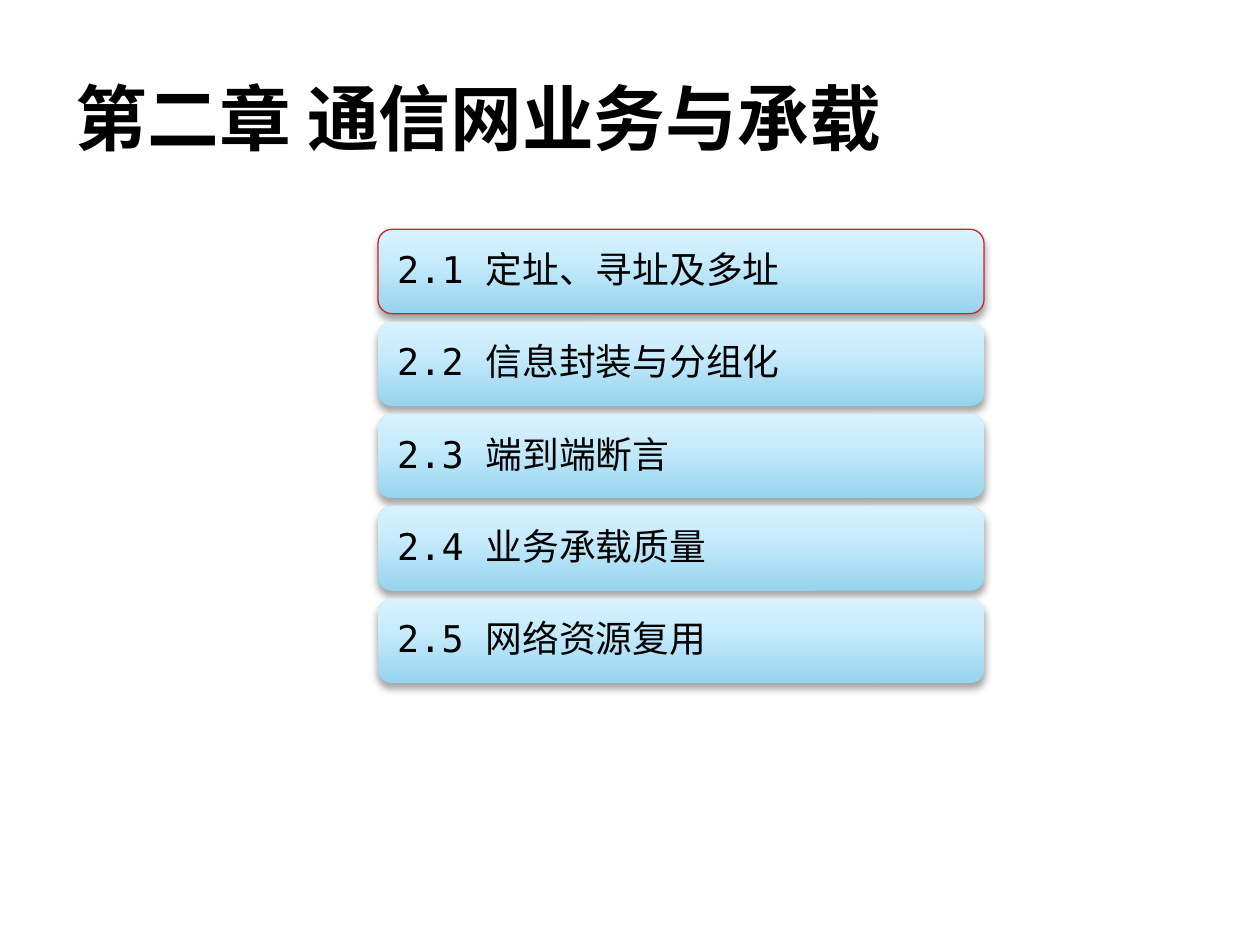
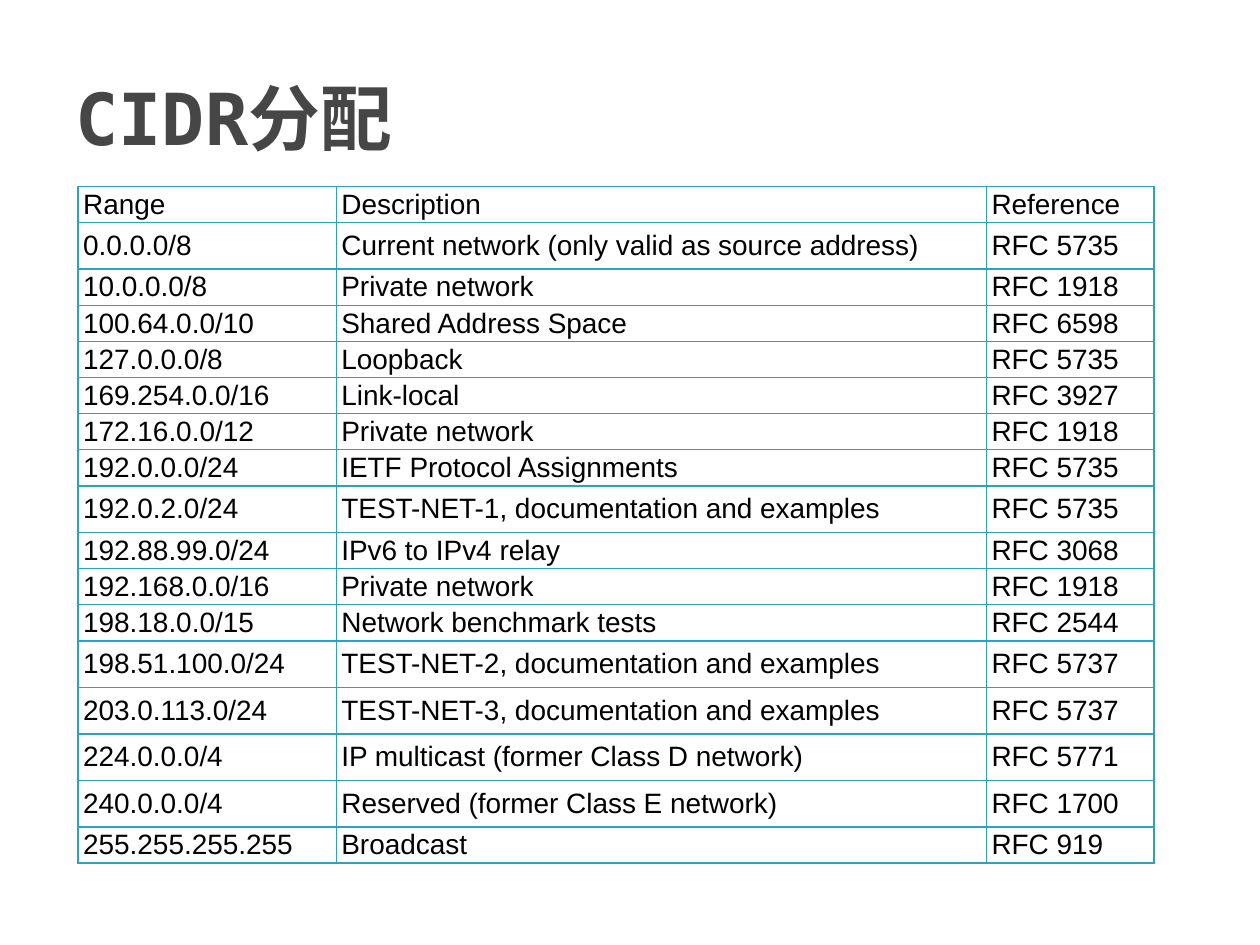
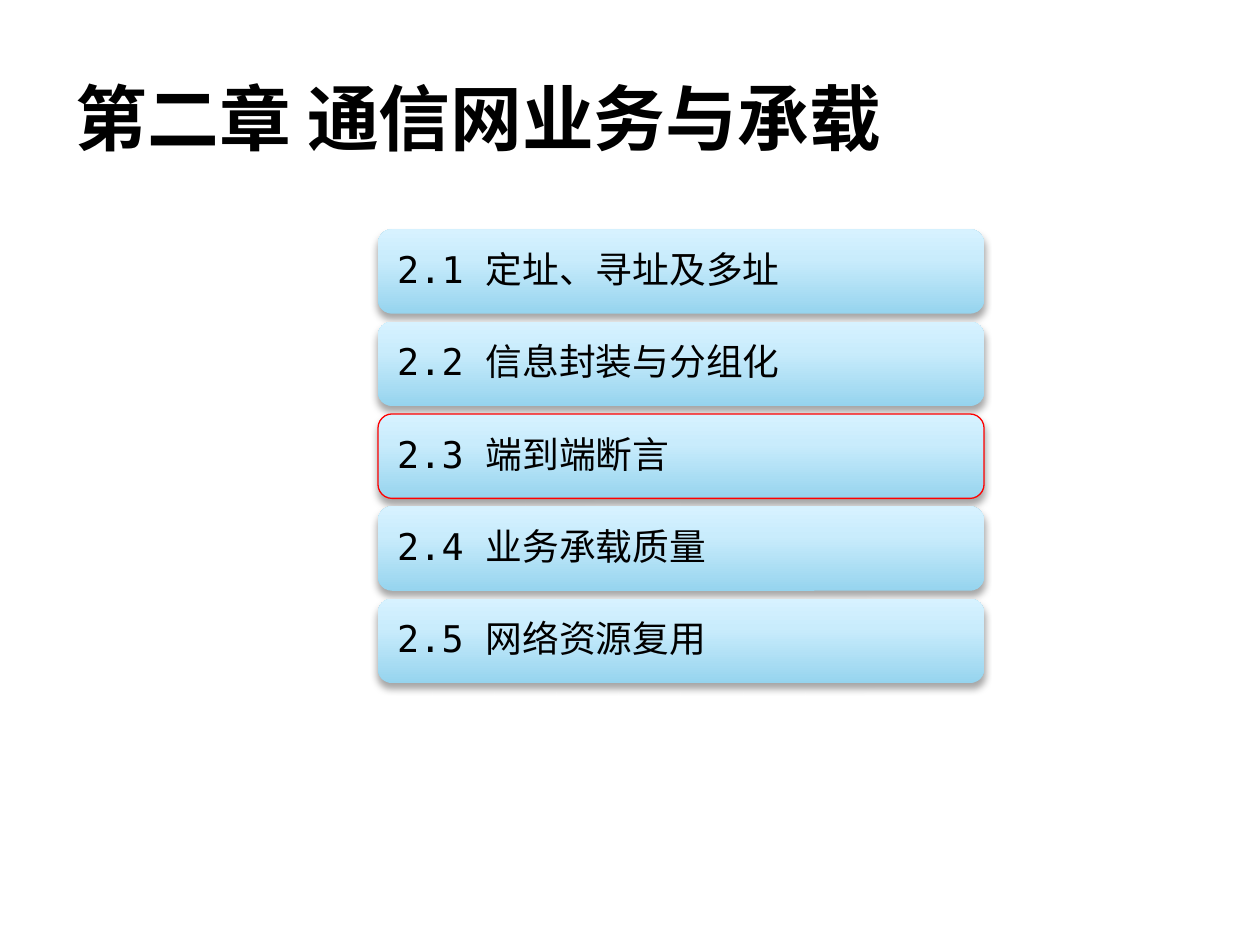
from lxml import etree
from pptx import Presentation
from pptx.dml.color import RGBColor
from pptx.enum.lang import MSO_LANGUAGE_ID
from pptx.enum.shapes import MSO_SHAPE
from pptx.enum.text import MSO_ANCHOR, MSO_AUTO_SIZE, PP_ALIGN
from pptx.oxml.ns import qn
from pptx.util import Inches, Pt

ROUNDED = MSO_SHAPE.ROUNDED_RECTANGLE
MIDDLE = MSO_ANCHOR.MIDDLE
LEFT = PP_ALIGN.LEFT
NO_AUTOFIT = MSO_AUTO_SIZE.NONE
CHINESE = MSO_LANGUAGE_ID.SIMPLIFIED_CHINESE
TITLE_ONLY = 5

BLACK = RGBColor(0x00, 0x00, 0x00)
DARK_GREY = RGBColor(0x46, 0x46, 0x46)
CRIMSON = RGBColor(0xDA, 0x1F, 0x28)
RED = RGBColor(0xFF, 0x00, 0x00)
TEAL = RGBColor(0x2D, 0xA2, 0xBF)
BAR_GRADIENT = [
    (0, RGBColor(0x96, 0xD4, 0xEE)),
    (65, RGBColor(0xC9, 0xEC, 0xFC)),
    (100, RGBColor(0xD7, 0xF2, 0xFF)),
]

MONO = "DejaVu Sans Mono"
SANS = "Arial"

CHAPTER_TITLE = "第二章 通信网业务与承载"
SECTIONS = [
    "2.1 定址、寻址及多址",
    "2.2 信息封装与分组化",
    "2.3 端到端断言",
    "2.4 业务承载质量",
    "2.5 网络资源复用",
]
BAR_TOP, BAR_PITCH = 1.82, 0.733

COLUMN_WIDTHS = [2.05, 5.16, 1.33]
SHORT_ROW, TALL_ROW = 0.28, 0.37
TALL_ROWS = {1, 8, 12, 13, 14, 15}
CIDR_ROWS = [
    ("Range", "Description", "Reference"),
    ("0.0.0.0/8", "Current network (only valid as source address)", "RFC 5735"),
    ("10.0.0.0/8", "Private network", "RFC 1918"),
    ("100.64.0.0/10", "Shared Address Space", "RFC 6598"),
    ("127.0.0.0/8", "Loopback", "RFC 5735"),
    ("169.254.0.0/16", "Link-local", "RFC 3927"),
    ("172.16.0.0/12", "Private network", "RFC 1918"),
    ("192.0.0.0/24", "IETF Protocol Assignments", "RFC 5735"),
    ("192.0.2.0/24", "TEST-NET-1, documentation and examples", "RFC 5735"),
    ("192.88.99.0/24", "IPv6 to IPv4 relay", "RFC 3068"),
    ("192.168.0.0/16", "Private network", "RFC 1918"),
    ("198.18.0.0/15", "Network benchmark tests", "RFC 2544"),
    ("198.51.100.0/24", "TEST-NET-2, documentation and examples", "RFC 5737"),
    ("203.0.113.0/24", "TEST-NET-3, documentation and examples", "RFC 5737"),
    ("224.0.0.0/4", "IP multicast (former Class D network)", "RFC 5771"),
    ("240.0.0.0/4", "Reserved (former Class E network)", "RFC 1700"),
    ("255.255.255.255", "Broadcast", "RFC 919"),
]


def add_element(parent, tag, **attributes):
    element = etree.SubElement(parent, qn(tag))
    for name, value in attributes.items():
        element.set(name, str(value))
    return element


def write_text(text_frame, text, font_name, size, color, bold=False):
    text_frame.text = text
    paragraph = text_frame.paragraphs[0]
    paragraph.alignment = LEFT
    font = paragraph.runs[0].font
    font.name = font_name
    font.size = Pt(size)
    font.bold = bold
    font.color.rgb = color
    if font_name == MONO:
        font.language_id = CHINESE


def add_titled_slide(presentation, text, color):
    slide = presentation.slides.add_slide(presentation.slide_layouts[TITLE_ONLY])
    title = slide.shapes.title
    title.left, title.top = Inches(0.5), Inches(0.3)
    title.width, title.height = Inches(9), Inches(1.25)
    title.text_frame.vertical_anchor = MIDDLE
    title.text_frame.auto_size = NO_AUTOFIT
    write_text(title.text_frame, text, MONO, 41, color, bold=True)
    return slide


def fill_with_gradient(shape):
    gradient = add_element(shape._element.spPr, "a:gradFill", rotWithShape=1)
    stops = add_element(gradient, "a:gsLst")
    for percent, color in BAR_GRADIENT:
        stop = add_element(stops, "a:gs", pos=percent * 1000)
        add_element(stop, "a:srgbClr", val=color)
    add_element(gradient, "a:lin", ang=270 * 60000, scaled=0)


def add_soft_shadow(shape):
    shape.shadow.inherit = False
    effects = shape._element.spPr.find(qn("a:effectLst"))
    shadow = add_element(effects, "a:outerShdw", blurRad=Pt(4), dist=Pt(3),
                         dir=90 * 60000, rotWithShape=0)
    color = add_element(shadow, "a:srgbClr", val=BLACK)
    add_element(color, "a:alpha", val=35000)


def add_section_bar(slide, top, text, outline=None):
    bar = slide.shapes.add_shape(ROUNDED, Inches(3), Inches(top),
                                 Inches(4.81), Inches(0.67))
    fill_with_gradient(bar)
    if outline is None:
        bar.line.fill.background()
    else:
        bar.line.color.rgb = outline
        bar.line.width = Pt(0.75)
    add_soft_shadow(bar)

    text_frame = bar.text_frame
    text_frame.word_wrap = True
    text_frame.vertical_anchor = MIDDLE
    text_frame.margin_left = text_frame.margin_right = Inches(0.12)
    write_text(text_frame, text, MONO, 21, BLACK)
    text_frame.paragraphs[0].line_spacing = 0.9


def add_chapter_slide(presentation, current, outline):
    """Add the chapter outline with the current section's bar outlined."""
    slide = add_titled_slide(presentation, CHAPTER_TITLE, BLACK)
    for index, section in enumerate(SECTIONS):
        add_section_bar(slide, BAR_TOP + index * BAR_PITCH, section,
                        outline if index == current else None)


def add_cell_borders(cell):
    properties = cell._tc.get_or_add_tcPr()
    for side in ("a:lnL", "a:lnR", "a:lnT", "a:lnB"):
        line = add_element(properties, side, w=Pt(1))
        add_element(add_element(line, "a:solidFill"), "a:srgbClr", val=TEAL)


def format_cell(cell, text):
    cell.margin_left = cell.margin_right = Inches(0.04)
    cell.margin_top = cell.margin_bottom = Inches(0.02)
    cell.vertical_anchor = MIDDLE
    add_cell_borders(cell)
    cell.fill.background()
    write_text(cell.text_frame, text, SANS, 16, BLACK)


def add_cidr_table(slide):
    heights = [TALL_ROW if index in TALL_ROWS else SHORT_ROW
               for index in range(len(CIDR_ROWS))]
    table = slide.shapes.add_table(
        len(CIDR_ROWS), len(COLUMN_WIDTHS), Inches(0.62), Inches(1.48),
        Inches(sum(COLUMN_WIDTHS)), Inches(sum(heights))).table
    table.first_row = False
    table.horz_banding = False
    for column, width in zip(table.columns, COLUMN_WIDTHS):
        column.width = Inches(width)
    for row, height, values in zip(table.rows, heights, CIDR_ROWS):
        row.height = Inches(height)
        for cell, value in zip(row.cells, values):
            format_cell(cell, value)


def main():
    presentation = Presentation()
    presentation.slide_width = Inches(10)
    presentation.slide_height = Inches(7.5)
    add_chapter_slide(presentation, current=0, outline=CRIMSON)
    add_cidr_table(add_titled_slide(presentation, "CIDR分配", DARK_GREY))
    add_chapter_slide(presentation, current=2, outline=RED)
    presentation.save("out.pptx")


if __name__ == "__main__":
    main()
